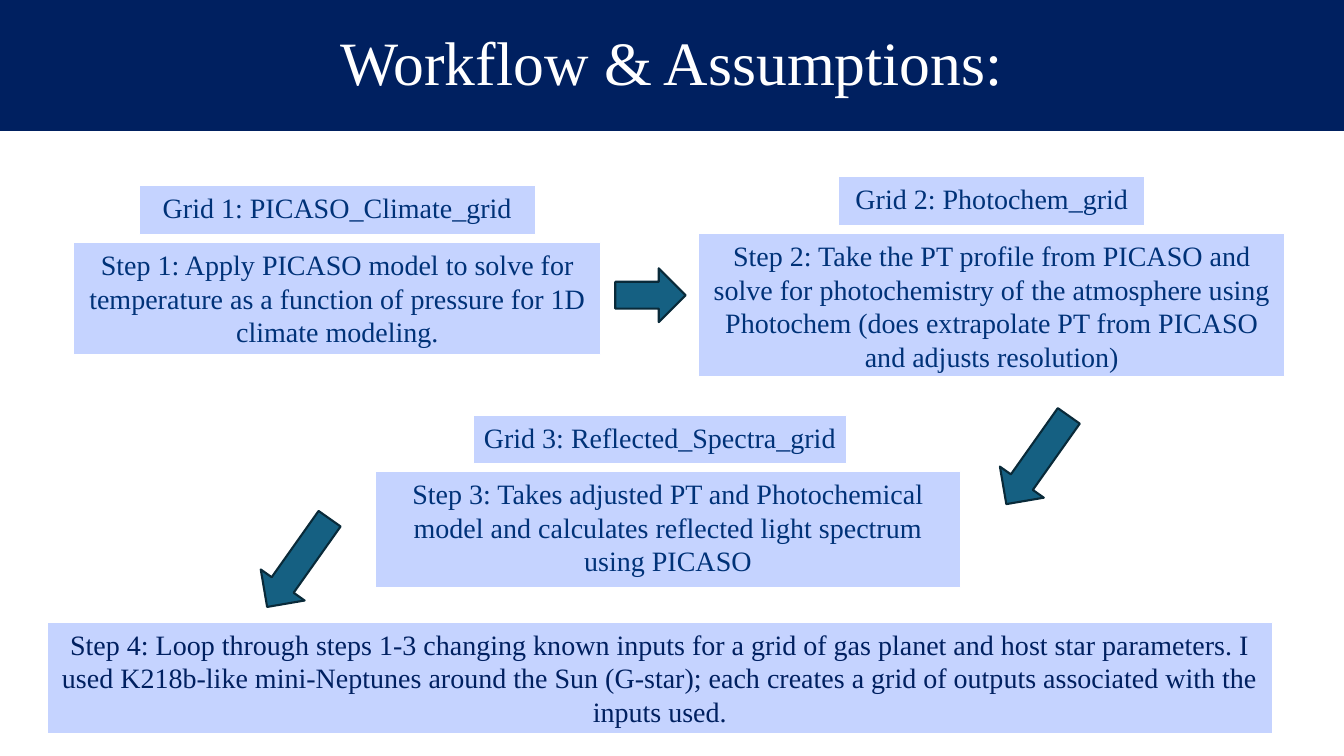
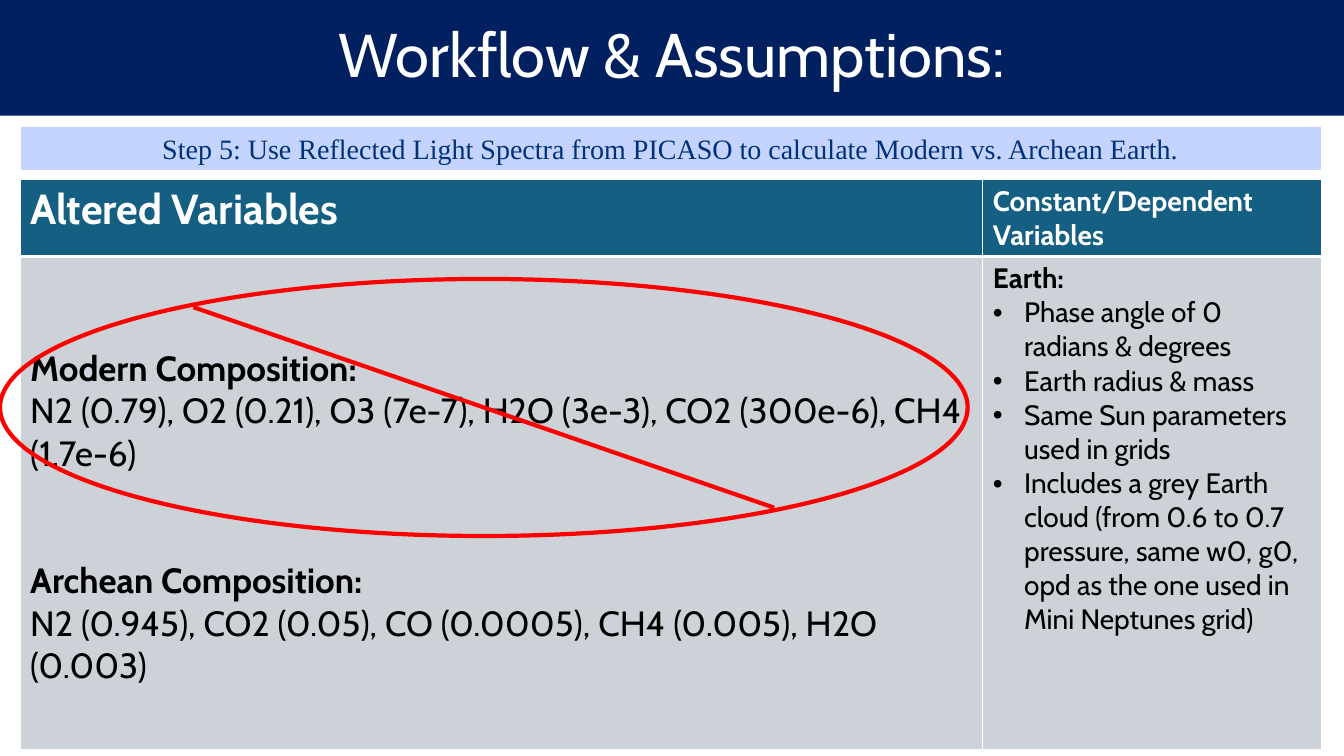
from lxml import etree
from pptx import Presentation
from pptx.dml.color import RGBColor
from pptx.enum.shapes import MSO_CONNECTOR as Link, MSO_SHAPE as Form
from pptx.enum.text import MSO_ANCHOR as Anchor, MSO_AUTO_SIZE as Fit, PP_ALIGN as Align
from pptx.oxml.ns import qn
from pptx.util import Emu, Inches, Pt

NAVY = RGBColor(0x00, 0x20, 0x60)
BLUE = RGBColor(0x00, 0x32, 0x78)
PALE = RGBColor(0xC5, 0xD3, 0xFF)
TEAL = RGBColor(0x15, 0x60, 0x82)
DARK = RGBColor(0x09, 0x2A, 0x39)
GREY = RGBColor(0xCC, 0xD2, 0xD8)
RED = RGBColor(0xFF, 0x00, 0x00)
WHITE = RGBColor(0xFF, 0xFF, 0xFF)
BLACK = RGBColor(0x00, 0x00, 0x00)

SERIF, SANS = "Times New Roman", "Cabin"
HEAD = "Workflow & Assumptions:"

# The slide is a grid of 100 columns by 100 rows.
WIDE, HIGH = Inches(13.333), Inches(7.5)
COL, ROW = WIDE / 100, HIGH / 100
TAG_H, TAG_UP = 6.4, 7.5

STEPS = [  # box, text, label, label width, label shift
    ((5.5, 32.1, 39.2, 14.8),
     "Step 1: Apply PICASO model to solve for temperature as a function of "
     "pressure for 1D climate modeling.",
     "Grid 1: PICASO_Climate_grid", 29.5, 0),
    ((52, 30.9, 43.6, 18.9),
     "Step 2: Take the PT profile from PICASO and solve for photochemistry of "
     "the atmosphere using Photochem (does extrapolate PT from PICASO and "
     "adjusts resolution)",
     "Grid 2: Photochem_grid", 22.8, 0),
    ((27.9, 62.4, 43.6, 15.3),
     "Step 3: Takes adjusted PT and Photochemical model and calculates "
     "reflected light spectrum using PICASO",
     "Grid 3: Reflected_Spectra_grid", 27.8, -0.6),
]
LOOP = ("Step 4: Loop through steps 1-3 changing known inputs for a grid of gas "
        "planet and host star parameters. I used K218b-like mini-Neptunes around "
        "the Sun (G-star); each creates a grid of outputs associated with the "
        "inputs used.")
ARROWS = [((46.4, 34.4, 4, 9.3), 270),
          ((75.2, 53.7, 4, 14.3), 35.3),
          ((20.2, 67.3, 4, 14.3), 35.3)]

EARTH = "Step 5: Use Reflected Light Spectra from PICASO to calculate Modern vs. Archean Earth."
MIXES = [
    ("Modern Composition:",
     "N2 (0.79), O2 (0.21), O3 (7e-7), H2O (3e-3), CO2 (300e-6), CH4 (1.7e-6)"),
    ("Archean Composition:",
     "N2 (0.945), CO2 (0.05), CO (0.0005), CH4 (0.005), H2O (0.003)"),
]
FIXED = [
    "Phase angle of 0 radians & degrees",
    "Earth radius & mass",
    "Same Sun parameters used in grids",
    "Includes a grey Earth cloud (from 0.6 to 0.7 pressure, same w0, g0, opd as "
    "the one used in Mini Neptunes grid)",
]


def place(box):
    """Turn grid columns and rows into slide lengths."""
    x, y, w, h = box
    return [Emu(round(n)) for n in (x * COL, y * ROW, w * COL, h * ROW)]


def write(para, text, size, color, face=SANS, bold=False):
    run = para.add_run()
    run.text = text
    font = run.font
    font.name, font.size, font.bold = face, Pt(size), bold
    font.color.rgb = color


def stroke(shape, color, width):
    shape.line.color.rgb = color
    shape.line.width = Pt(width)


def paint(shape, color):
    shape.fill.solid()
    shape.fill.fore_color.rgb = color


def start(deck, rows, face):
    """Add a slide whose title is a navy band of the given rows."""
    slide = deck.slides.add_slide(deck.slide_layouts[5])
    title = slide.shapes.title
    title.left, title.top, title.width, title.height = place((0, 0, 100, rows))
    paint(title, NAVY)
    frame = title.text_frame
    frame.auto_size = Fit.NONE
    frame.vertical_anchor = Anchor.MIDDLE
    para = frame.paragraphs[0]
    para.alignment, para.line_spacing = Align.CENTER, 0.9
    write(para, HEAD, 44, WHITE, face)
    return slide


def note(slide, box, text, color=BLUE):
    shape = slide.shapes.add_textbox(*place(box))
    paint(shape, PALE)
    stroke(shape, WHITE, 0.75)
    frame = shape.text_frame
    frame.word_wrap = True
    para = frame.paragraphs[0]
    para.alignment = Align.CENTER
    write(para, text, 20, color, SERIF)


def step(slide, box, text, label, width, shift):
    """Add a step with its grid label centred above it."""
    x, y, w, _ = box
    note(slide, box, text)
    note(slide, (x + (w - width) / 2 + shift, y - TAG_UP, width, TAG_H), label)


def arrow(slide, box, turn):
    shape = slide.shapes.add_shape(Form.DOWN_ARROW, *place(box))
    shape.shadow.inherit = False
    shape.rotation = turn
    paint(shape, TEAL)
    stroke(shape, DARK, 1.5)


def edge(cell, **widths):
    """Draw white borders, one point wide unless a side says more."""
    props = cell._tc.get_or_add_tcPr()
    for i, side in enumerate("LRTB"):
        line = etree.Element(qn(f"a:ln{side}"), w=str(Pt(widths.get(side, 1))))
        fill = etree.SubElement(line, qn("a:solidFill"))
        etree.SubElement(fill, qn("a:srgbClr"), val=str(WHITE))
        props.insert(i, line)


def bullet(para):
    props = para._p.get_or_add_pPr()
    props.set("marL", str(Inches(0.31)))
    props.set("indent", str(-Inches(0.31)))
    etree.SubElement(props, qn("a:buFont"), typeface="Arial")
    etree.SubElement(props, qn("a:buChar"), char="•")


def mixes(cell):
    """List the compositions, with an even gap above each."""
    cell.margin_top = Emu(round(12 * ROW))
    frame = cell.text_frame
    for i, (name, parts) in enumerate(MIXES):
        para = frame.add_paragraph() if i else frame.paragraphs[0]
        if i:
            para.space_before = Pt(61)
        write(para, name, 25, BLACK, bold=True)
        write(frame.add_paragraph(), parts, 25, BLACK)


def fixed(cell):
    frame = cell.text_frame
    write(frame.paragraphs[0], "Earth:", 20, BLACK, bold=True)
    for text in FIXED:
        para = frame.add_paragraph()
        bullet(para)
        write(para, text, 20, BLACK)


def grid(slide, box):
    """Add the table of altered and constant variables."""
    left, top, width, height = place(box)
    table = slide.shapes.add_table(2, 2, left, top, width, height).table
    table.horz_banding = False
    for col, share in zip(table.columns, (0.74, 0.26)):
        col.width = Emu(round(width * share))
    table.rows[0].height = Emu(round(10 * ROW))
    table.rows[1].height = height - table.rows[0].height
    heads = [("Altered Variables", 30), ("Constant/Dependent Variables", 20)]
    for i, (text, size) in enumerate(heads):
        head, body = table.cell(0, i), table.cell(1, i)
        paint(head, TEAL)
        paint(body, GREY)
        edge(head, B=3)
        edge(body, T=3)
        write(head.text_frame.paragraphs[0], text, size, WHITE, bold=True)
    mixes(table.cell(1, 0))
    fixed(table.cell(1, 1))


def strike(slide, box):
    """Ring a region and cross it out."""
    ring = slide.shapes.add_shape(Form.OVAL, *place(box))
    ring.shadow.inherit = False
    ring.fill.background()
    x, y, w, h = place(box)
    ends = [Emu(round(n)) for n in (x + 0.2 * w, y + 0.11 * h,
                                    x + 0.8 * w, y + 0.89 * h)]
    bar = slide.shapes.add_connector(Link.STRAIGHT, *ends)
    etree.SubElement(bar._element.spPr, qn("a:effectLst"))
    for shape in (ring, bar):
        stroke(shape, RED, 3)


def flow(deck):
    slide = start(deck, 17.3, SERIF)
    for item in STEPS:
        step(slide, *item)
    note(slide, (3.5, 82.3, 91.2, 14.8), LOOP, NAVY)
    for box, turn in ARROWS:
        arrow(slide, box, turn)


def earth(deck):
    slide = start(deck, 15.3, SANS)
    note(slide, (1.5, 16.7, 96.8, 5.8), EARTH)
    grid(slide, (1.5, 23.7, 96.8, 75.2))
    strike(slide, (0, 36.9, 72, 34))


def main():
    deck = Presentation()
    deck.slide_width, deck.slide_height = WIDE, HIGH
    flow(deck)
    earth(deck)
    deck.save("out.pptx")


if __name__ == "__main__":
    main()
